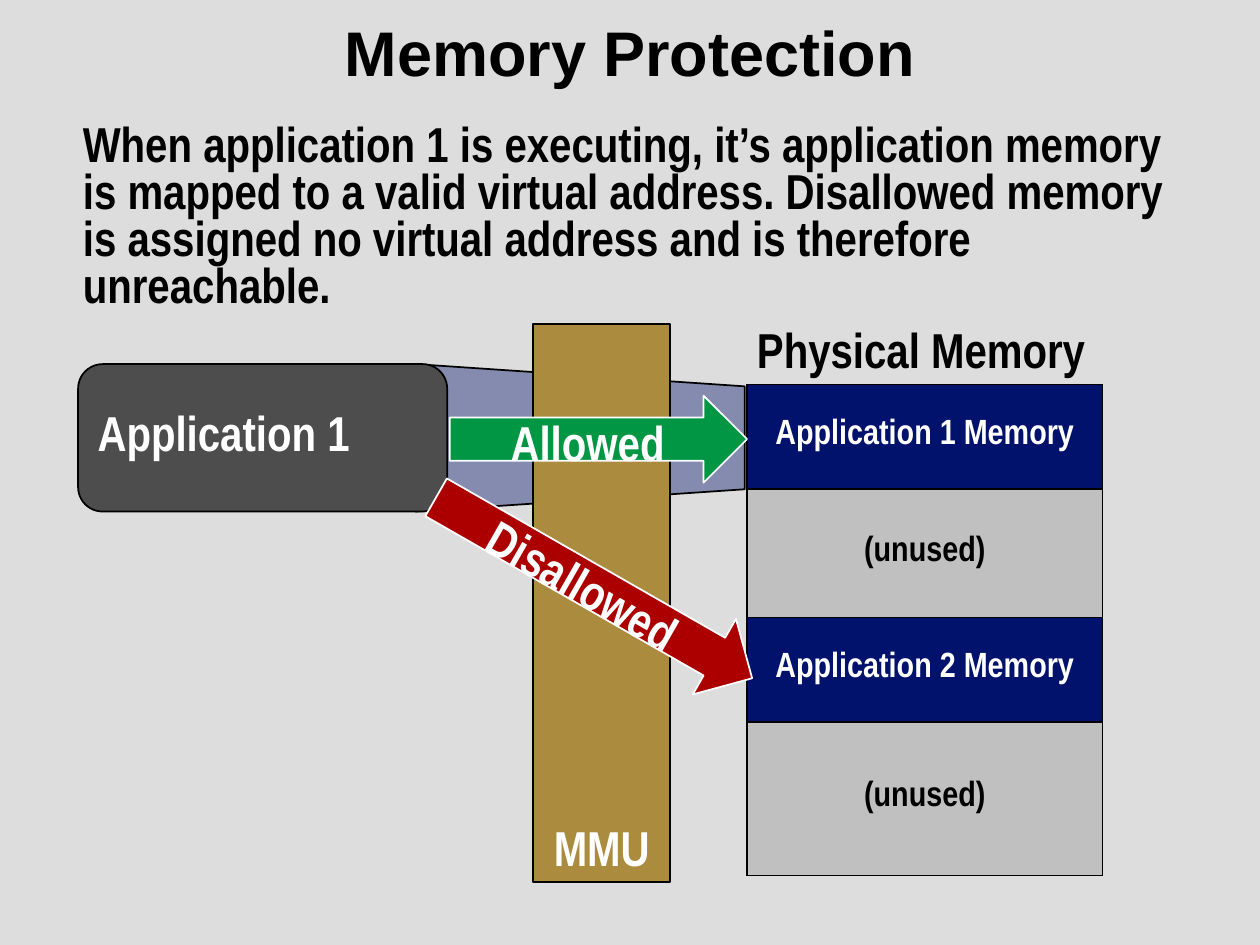
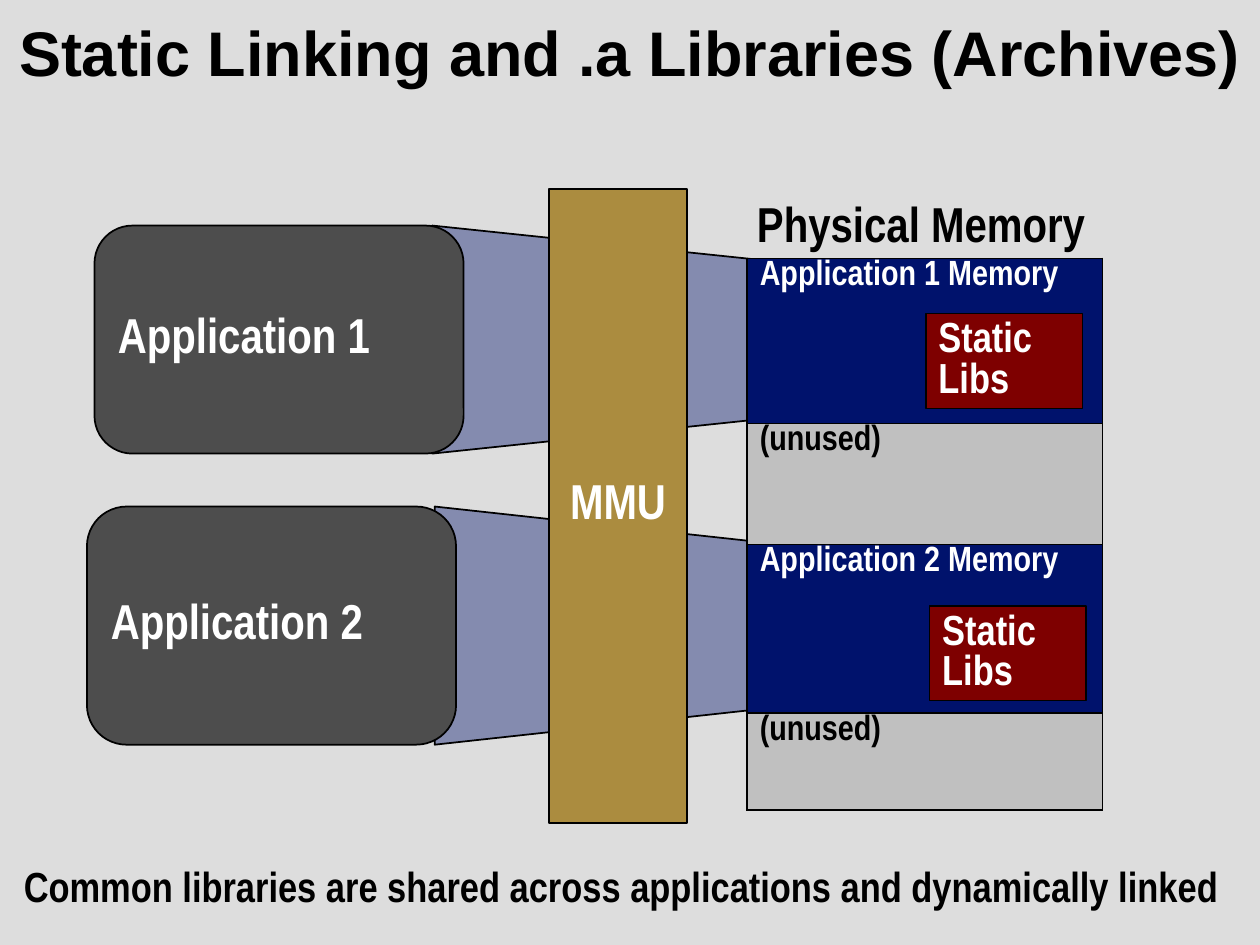
from collections import namedtuple
from dataclasses import dataclass

from lxml import etree
from pptx import Presentation
from pptx.dml.color import RGBColor
from pptx.enum.shapes import MSO_SHAPE
from pptx.enum.text import MSO_ANCHOR, PP_ALIGN
from pptx.oxml.ns import qn
from pptx.util import Inches, Pt

RECTANGLE = MSO_SHAPE.RECTANGLE
ROUNDED = MSO_SHAPE.ROUNDED_RECTANGLE
TRAPEZOID = MSO_SHAPE.TRAPEZOID
ARROW = MSO_SHAPE.RIGHT_ARROW
TOP, MIDDLE, BOTTOM = MSO_ANCHOR.TOP, MSO_ANCHOR.MIDDLE, MSO_ANCHOR.BOTTOM
LEFT, CENTER = PP_ALIGN.LEFT, PP_ALIGN.CENTER

Box = namedtuple("Box", "left top width height")


@dataclass(frozen=True)
class Theme:
    """Colours, fonts and type sizes of the deck."""
    background: str = "DDDDDD"
    ink: str = "000000"
    paper: str = "FFFFFF"
    navy: str = "00126C"
    silver: str = "C0C0C0"
    charcoal: str = "4D4D4D"
    gold: str = "AB8C3F"
    green: str = "009644"
    red: str = "AC0000"
    maroon: str = "7E0000"
    title_font: str = "Arial"
    body_font: str = "Arial Narrow"
    title_size: int = 36
    label_size: int = 28
    note_size: int = 24
    cell_size: int = 20
    line_spacing: float = 0.8
    line_width: float = 1
    beam_opacity: int = 40


THEME = Theme()


def paint(fill, color):
    """Give a fill one solid colour."""
    fill.solid()
    fill.fore_color.rgb = RGBColor.from_string(color)


def write(frame, text, color, size, align=LEFT, font=THEME.body_font,
          spacing=THEME.line_spacing):
    """Write one bold paragraph into a text frame."""
    para = frame.paragraphs[0]
    para.text = text
    para.alignment = align
    para.line_spacing = spacing
    para.font.name = font
    para.font.size = Pt(size)
    para.font.bold = True
    para.font.color.rgb = RGBColor.from_string(color)


def add_text(page, box, text, size, wrap=True, **style):
    """Add a vertically centred text box."""
    frame = page.shapes.add_textbox(*map(Inches, box)).text_frame
    frame.word_wrap = wrap
    frame.vertical_anchor = MIDDLE
    write(frame, text, THEME.ink, size, **style)


def add_block(page, kind, box, color, line=THEME.ink, width=THEME.line_width):
    """Add a filled and outlined preset shape."""
    shape = page.shapes.add_shape(kind, *map(Inches, box))
    shape.shadow.inherit = False
    paint(shape.fill, color)
    shape.line.color.rgb = RGBColor.from_string(line)
    shape.line.width = Pt(width)
    return shape


def add_labelled(page, kind, box, color, text, size=THEME.label_size,
                 align=CENTER, anchor=MIDDLE, **outline):
    """Add a shape with white text."""
    shape = add_block(page, kind, box, color, **outline)
    shape.text_frame.vertical_anchor = anchor
    write(shape.text_frame, text, THEME.paper, size, align)
    return shape


def add_beam(page, box):
    """Add a translucent wedge that narrows to the right within the box."""
    turned = Box(box.left + (box.width - box.height) / 2,
                 box.top + (box.height - box.width) / 2,
                 box.height, box.width)
    beam = add_block(page, TRAPEZOID, turned, THEME.navy)
    beam.rotation = 90
    beam.adjustments[0] = 0.151
    color = beam.fill._xPr.find(".//" + qn("a:srgbClr"))
    etree.SubElement(color, qn("a:alpha"), val=str(THEME.beam_opacity * 1000))


def add_application(page, name, box, overlap=0.25):
    """Add an application and the beam that maps it to memory."""
    add_beam(page, Box(box.left + box.width - overlap, box.top, 2.61, box.height))
    add_labelled(page, ROUNDED, box, THEME.charcoal, name, align=LEFT)


def add_mmu(page, box, anchor):
    """Add the memory management unit column."""
    add_labelled(page, RECTANGLE, box, THEME.gold, "MMU", anchor=anchor)


def add_arrow(page, box, color, text, angle=0):
    """Add an access arrow outlined in white."""
    arrow = add_labelled(page, ARROW, box, color, text, anchor=TOP, line=THEME.paper)
    arrow.rotation = angle


def outline_cell(cell):
    """Draw black borders around a table cell."""
    properties = cell._tc.get_or_add_tcPr()
    for position, side in enumerate(("a:lnL", "a:lnR", "a:lnT", "a:lnB")):
        border = etree.Element(qn(side), w=str(Pt(THEME.line_width)))
        solid = etree.SubElement(border, qn("a:solidFill"))
        etree.SubElement(solid, qn("a:srgbClr"), val=THEME.ink)
        properties.insert(position, border)


def add_memory(page, left, top, heights, align, anchor):
    """Add the physical memory table and its heading."""
    box = Box(left, top, 2.82, sum(heights))
    table = page.shapes.add_table(len(heights), 1, *map(Inches, box)).table
    table.first_row = table.horz_banding = False
    used, free = (THEME.navy, THEME.paper), (THEME.silver, THEME.ink)
    regions = [("Application 1 Memory", used), ("(unused)", free),
               ("Application 2 Memory", used), ("(unused)", free)]
    for index, (height, (text, (fill, ink))) in enumerate(zip(heights, regions)):
        table.rows[index].height = Inches(height)
        cell = table.cell(index, 0)
        paint(cell.fill, fill)
        outline_cell(cell)
        cell.vertical_anchor = anchor
        write(cell.text_frame, text, ink, THEME.cell_size, align)
    add_text(page, Box(left - 0.02, top - 0.48, 2.83, 0.48), "Physical Memory",
             THEME.label_size, wrap=False)


def add_libraries(page, left, top):
    """Add a static library block."""
    add_labelled(page, RECTANGLE, Box(left, top, 1.24, 0.75), THEME.maroon,
                 "Static Libs", THEME.note_size, LEFT, width=0.75)


def add_page(deck, title):
    """Add a blank page with background and title."""
    page = deck.slides.add_slide(deck.slide_layouts[6])
    paint(page.background.fill, THEME.background)
    add_text(page, Box(0, 0, 10, 0.81), title, THEME.title_size,
             align=CENTER, font=THEME.title_font, spacing=1.0)
    return page


def build_protection(deck):
    """Build the memory protection page."""
    page = add_page(deck, "Memory Protection")
    add_text(page, Box(0.56, 0.93, 8.96, 1.61),
             "When application 1 is executing, it’s application memory is mapped "
             "to a valid virtual address. Disallowed memory is assigned no virtual "
             "address and is therefore unreachable.", THEME.label_size)
    add_memory(page, 5.93, 3.05, (0.83, 1.02, 0.83, 1.22), CENTER, MIDDLE)
    add_application(page, "Application 1", Box(0.62, 2.89, 2.93, 1.17))
    add_mmu(page, Box(4.23, 2.57, 1.09, 4.43), BOTTOM)
    add_arrow(page, Box(3.57, 3.14, 2.36, 0.69), THEME.green, "Allowed")
    add_arrow(page, Box(3.27, 4.32, 2.89, 0.69), THEME.red, "Disallowed", 29.8)


def build_static_linking(deck):
    """Build the static linking page."""
    page = add_page(deck, "Static Linking and .a Libraries (Archives)")
    add_application(page, "Application 1", Box(0.75, 1.79, 2.93, 1.81))
    add_application(page, "Application 2", Box(0.69, 4.02, 2.93, 1.89), 0.17)
    add_mmu(page, Box(4.36, 1.5, 1.09, 5.03), MIDDLE)
    add_memory(page, 5.93, 2.05, (1.31, 0.96, 1.34, 0.77), LEFT, TOP)
    add_libraries(page, 7.35, 2.49)
    add_libraries(page, 7.38, 4.81)
    add_text(page, Box(0.09, 6.86, 9.79, 0.42),
             "Common libraries are shared across applications and dynamically linked",
             THEME.note_size, wrap=False)


def main():
    """Build and save the deck."""
    deck = Presentation()
    deck.slide_width, deck.slide_height = Inches(10), Inches(7.5)
    build_protection(deck)
    build_static_linking(deck)
    deck.save("out.pptx")


if __name__ == "__main__":
    main()
